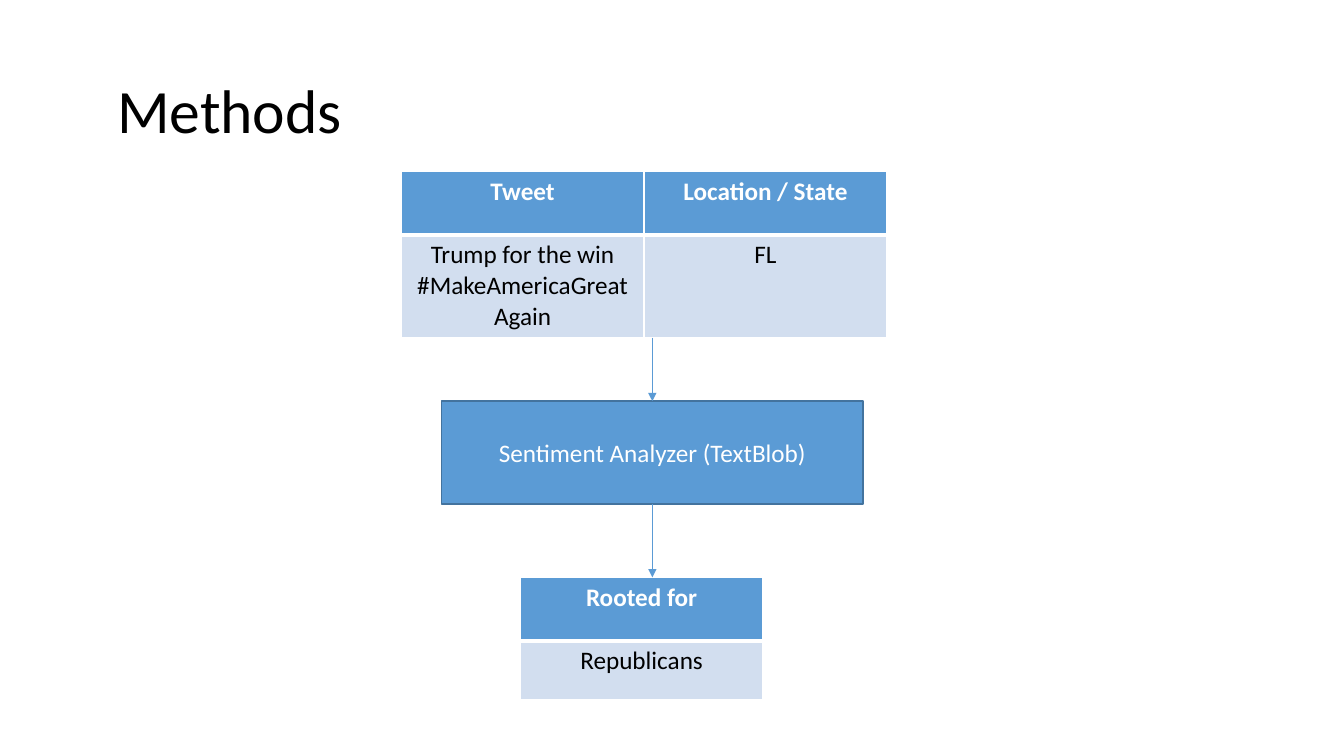
from dataclasses import dataclass

from lxml.etree import SubElement
from pptx import Presentation
from pptx.dml.color import RGBColor
from pptx.enum.shapes import MSO_CONNECTOR, MSO_SHAPE
from pptx.enum.text import MSO_ANCHOR, MSO_AUTO_SIZE, PP_ALIGN
from pptx.oxml.ns import qn
from pptx.slide import Slide
from pptx.table import _Cell
from pptx.text.text import _Paragraph
from pptx.util import Cm, Pt


@dataclass(frozen=True)
class Theme:
    font: str = "Calibri"
    title_size: int = 44
    body_size: int = 18
    blue: str = "5B9BD5"
    dark_blue: str = "43739E"
    pale_blue: str = "D2DEEF"
    white: str = "FFFFFF"
    black: str = "000000"
    thin_border: float = 1
    header_border: float = 3
    arrow_width: float = 0.5


@dataclass(frozen=True)
class DataTable:
    left: float
    top: float
    record_height: float
    headers: tuple[str, ...]
    record: tuple[str, ...]


@dataclass(frozen=True)
class Box:
    left: float
    top: float
    width: float
    height: float
    text: str

    @property
    def center(self) -> float:
        return self.left + self.width / 2

    @property
    def bottom(self) -> float:
        return self.top + self.height


@dataclass(frozen=True)
class Arrow:
    x: float
    start: float
    end: float


THEME = Theme()
COLUMN_WIDTH = 6.12
HEADER_HEIGHT = 1.6

TWEET_TABLE = DataTable(
    10.11, 4.32, 2.54,
    ("Tweet", "Location / State"),
    ("Trump for the win #MakeAmericaGreatAgain", "FL"),
)
RESULT_TABLE = DataTable(13.11, 14.55, 1.47, ("Rooted for",), ("Republicans",))
ANALYZER = Box(11.13, 10.11, 10.62, 2.59, "Sentiment Analyzer (TextBlob)")
ARROWS = (
    Arrow(ANALYZER.center, 8.51, ANALYZER.top),
    Arrow(ANALYZER.center, ANALYZER.bottom, RESULT_TABLE.top),
)


def color(value: str) -> RGBColor:
    return RGBColor.from_string(value)


def format_text(paragraph: _Paragraph, size: int, ink: str, alignment: PP_ALIGN, bold: bool = False) -> None:
    paragraph.alignment = alignment
    paragraph.font.name = THEME.font
    paragraph.font.size = Pt(size)
    paragraph.font.bold = bold
    paragraph.font.color.rgb = color(ink)


def add_title(slide: Slide, text: str) -> None:
    title = slide.shapes.title
    title.left, title.top, title.width, title.height = Cm(2.34), Cm(1.02), Cm(29.21), Cm(4.7 - 1.02)
    frame = title.text_frame
    frame.text = text
    frame.auto_size = MSO_AUTO_SIZE.NONE
    frame.vertical_anchor = MSO_ANCHOR.MIDDLE
    frame.margin_left = Cm(0.61)
    paragraph = frame.paragraphs[0]
    paragraph.line_spacing = 0.9
    format_text(paragraph, THEME.title_size, THEME.black, PP_ALIGN.LEFT)


def add_borders(cell: _Cell, is_header: bool) -> None:
    thick_side = "lnB" if is_header else "lnT"
    properties = cell._tc.get_or_add_tcPr()
    for side in ("lnL", "lnR", "lnT", "lnB"):
        width = THEME.header_border if side == thick_side else THEME.thin_border
        border = SubElement(properties, qn(f"a:{side}"), w=str(Pt(width)))
        fill = SubElement(border, qn("a:solidFill"))
        SubElement(fill, qn("a:srgbClr"), val=THEME.white)


def add_data_table(slide: Slide, data: DataTable) -> None:
    heights = (HEADER_HEIGHT, data.record_height)
    columns = len(data.headers)
    table = slide.shapes.add_table(
        len(heights), columns, Cm(data.left), Cm(data.top),
        Cm(COLUMN_WIDTH * columns), Cm(sum(heights)),
    ).table
    for column in table.columns:
        column.width = Cm(COLUMN_WIDTH)
    for row, height, texts in zip(table.rows, heights, (data.headers, data.record)):
        row.height = Cm(height)
        is_header = texts is data.headers
        for cell, text in zip(row.cells, texts):
            cell.text = text
            add_borders(cell, is_header)
            cell.fill.solid()
            cell.fill.fore_color.rgb = color(THEME.blue if is_header else THEME.pale_blue)
            ink = THEME.white if is_header else THEME.black
            format_text(cell.text_frame.paragraphs[0], THEME.body_size, ink, PP_ALIGN.CENTER, is_header)


def add_box(slide: Slide, box: Box) -> None:
    shape = slide.shapes.add_shape(
        MSO_SHAPE.RECTANGLE, Cm(box.left), Cm(box.top), Cm(box.width), Cm(box.height)
    )
    shape.shadow.inherit = False
    shape.fill.solid()
    shape.fill.fore_color.rgb = color(THEME.blue)
    shape.line.color.rgb = color(THEME.dark_blue)
    shape.line.width = Pt(THEME.thin_border)
    frame = shape.text_frame
    frame.text = box.text
    frame.word_wrap = True
    frame.vertical_anchor = MSO_ANCHOR.MIDDLE
    format_text(frame.paragraphs[0], THEME.body_size, THEME.white, PP_ALIGN.CENTER)


def add_arrow(slide: Slide, arrow: Arrow) -> None:
    connector = slide.shapes.add_connector(
        MSO_CONNECTOR.STRAIGHT, Cm(arrow.x), Cm(arrow.start), Cm(arrow.x), Cm(arrow.end)
    )
    connector.line.color.rgb = color(THEME.blue)
    connector.line.width = Pt(THEME.arrow_width)
    SubElement(connector.line._get_or_add_ln(), qn("a:tailEnd"), type="triangle")
    SubElement(connector._element.spPr, qn("a:effectLst"))


def main() -> None:
    presentation = Presentation()
    presentation.slide_width = Cm(33.87)
    presentation.slide_height = Cm(19.05)
    slide = presentation.slides.add_slide(presentation.slide_layouts.get_by_name("Title Only"))
    add_title(slide, "Methods")
    for data in (TWEET_TABLE, RESULT_TABLE):
        add_data_table(slide, data)
    add_box(slide, ANALYZER)
    for arrow in ARROWS:
        add_arrow(slide, arrow)
    presentation.save("out.pptx")


main()
